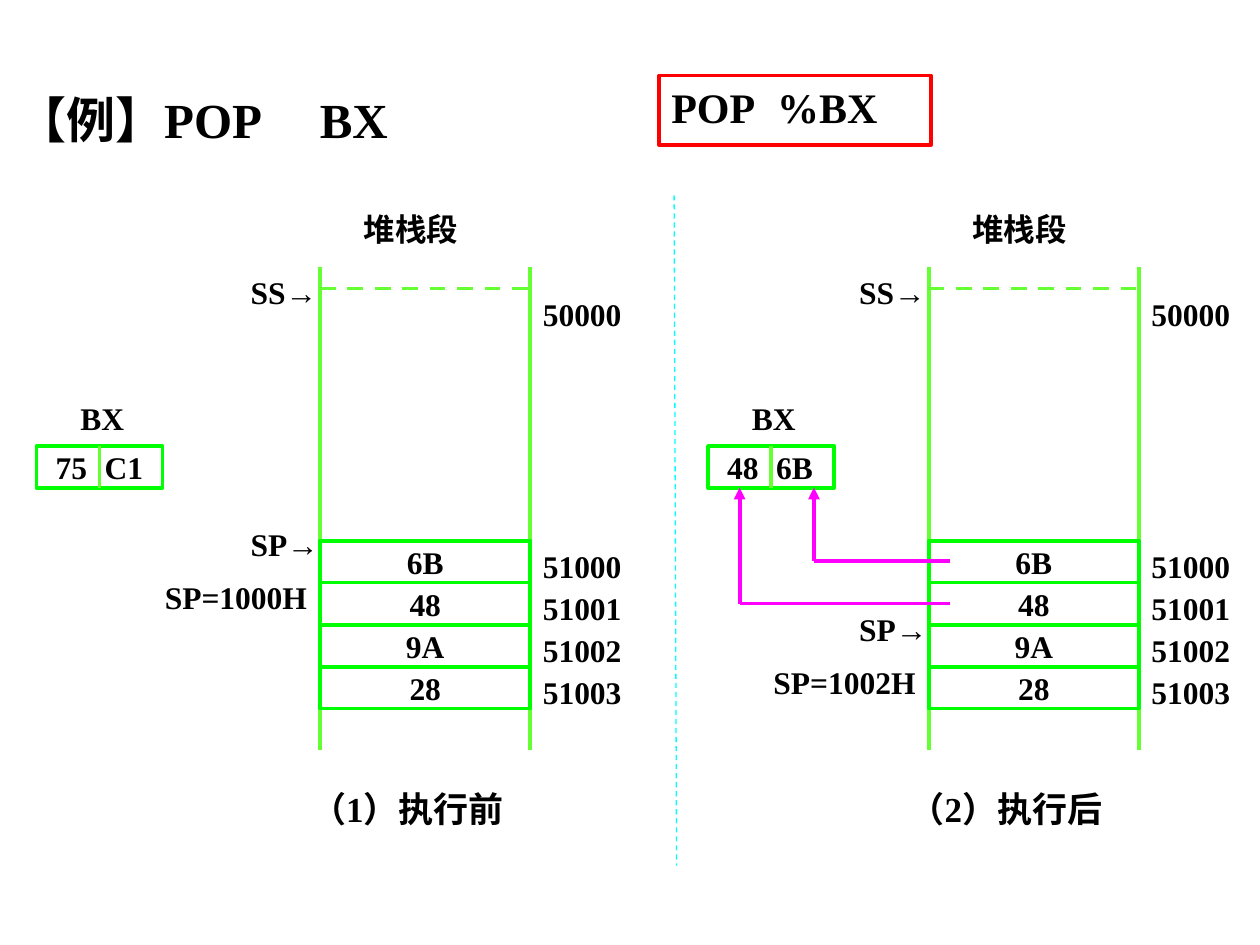
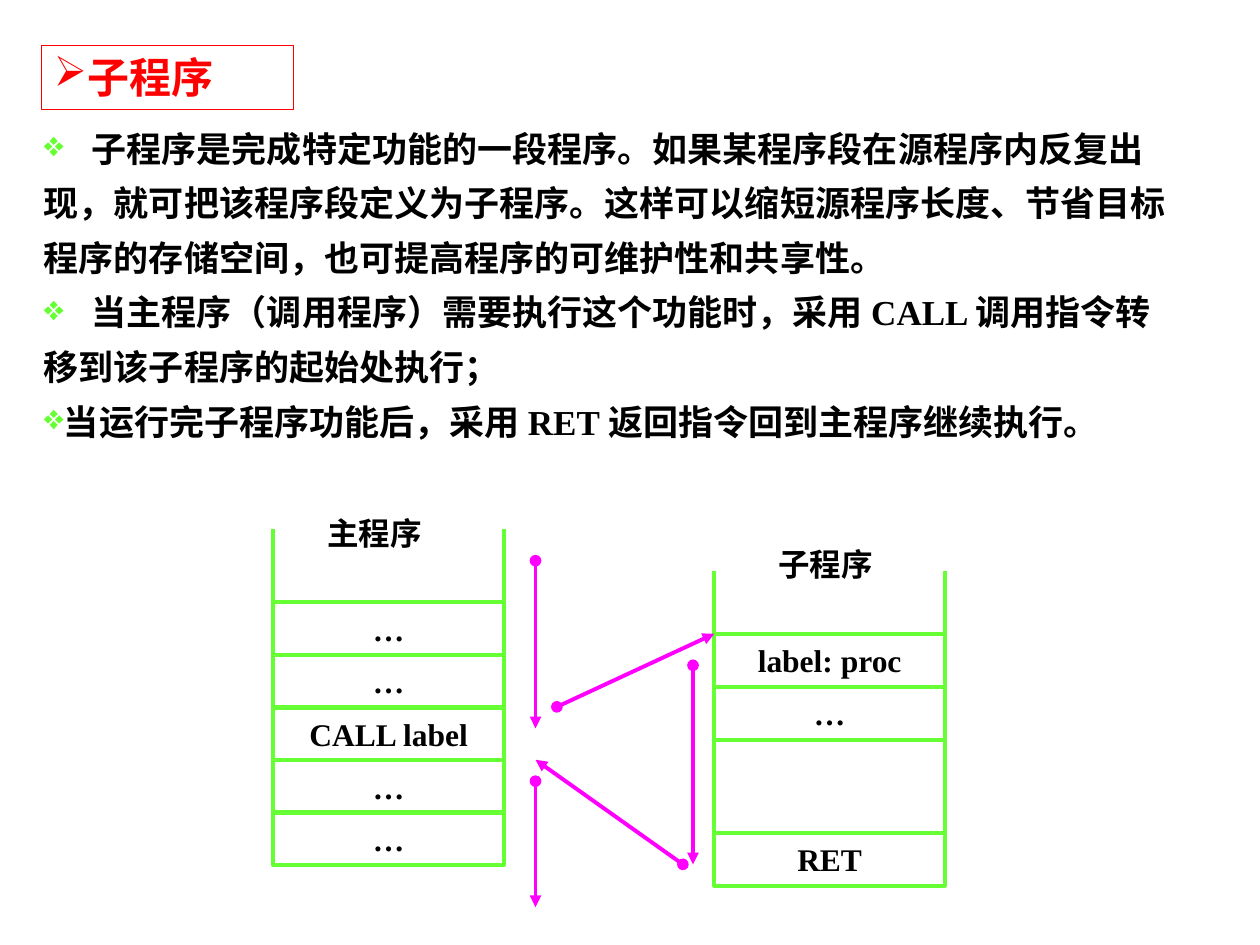
from dataclasses import dataclass
from lxml import etree
from pptx import Presentation
from pptx.dml.color import RGBColor as Rgb
from pptx.enum.dml import MSO_LINE as Dash
from pptx.enum.shapes import MSO_CONNECTOR as Conn, MSO_SHAPE as Kind
from pptx.enum.text import MSO_ANCHOR as Anchor, PP_ALIGN as Align
from pptx.oxml.ns import qn
from pptx.util import Inches, Pt


@dataclass(frozen=True)
class Theme:
    ink: str = "000000"
    red: str = "FF0000"
    green: str = "00FF00"
    lime: str = "66FF33"
    cyan: str = "00FFFF"
    pink: str = "FF00FF"
    serif: str = "Times New Roman"
    sans: str = "Noto Sans CJK SC"
    title: int = 28
    head: int = 24
    body: int = 20
    label: int = 18
    thick: float = 2.25
    thin: float = 0.75


theme = Theme()


def put(slide, x, y, w, h, words, size=theme.label, edge=None, thick=theme.thick,
        align=Align.LEFT, mid=False, color=theme.ink, font=theme.serif,
        space=None, mark=None, tab=None):
    """Place bold text, one paragraph a line, framed if edge is given."""
    area = [Inches(v) for v in (x, y, w, h)]
    if edge:
        shape = slide.shapes.add_shape(Kind.RECTANGLE, *area)
        shape.shadow.inherit = False
        shape.fill.background()
        shape.line.color.rgb = Rgb.from_string(edge)
        shape.line.width = Pt(thick)
    else:
        shape = slide.shapes.add_textbox(*area)
    frame = shape.text_frame
    frame.word_wrap = True
    frame.vertical_anchor = Anchor.MIDDLE if mid else Anchor.TOP
    if mid:
        frame.margin_top = frame.margin_bottom = 0
    frame.text = words
    for para in frame.paragraphs:
        para.alignment = align
        para.font.name, para.font.size, para.font.bold = font, Pt(size), True
        para.font.color.rgb = Rgb.from_string(color)
        if space:
            para.line_spacing = space
        props = para._p.get_or_add_pPr()
        extra = []
        if mark:
            char, tint = mark
            tone = etree.Element(qn("a:buClr"))
            etree.SubElement(tone, qn("a:srgbClr"), val=tint)
            extra += [tone, etree.Element(qn("a:buChar"), char=char)]
        if tab:
            tabs = etree.Element(qn("a:tabLst"))
            etree.SubElement(tabs, qn("a:tab"), pos=str(Inches(tab)), algn="l")
            extra.append(tabs)
        rest = props.find(qn("a:defRPr"))
        for node in extra:
            if rest is None:
                props.append(node)
            else:
                rest.addprevious(node)
    return frame


def rule(slide, x1, y1, x2, y2, color=theme.lime, thick=theme.thick,
         dash=False, head=None, tail=None):
    line = slide.shapes.add_connector(Conn.STRAIGHT, *[Inches(v) for v in (x1, y1, x2, y2)])
    line.line.color.rgb = Rgb.from_string(color)
    line.line.width = Pt(thick)
    if dash:
        line.line.dash_style = Dash.DASH
    pen = line.line._get_or_add_ln()
    for end, tip in (("a:headEnd", head), ("a:tailEnd", tail)):
        if tip:
            etree.SubElement(pen, qn(end), type=tip)
    etree.SubElement(line._element.spPr, qn("a:effectLst"))


deck = Presentation()
deck.slide_width, deck.slide_height = Inches(10), Inches(7.5)
blank = deck.slide_layouts[6]

# Slide 1: the stack before and after POP
pop = deck.slides.add_slide(blank)
put(pop, 0.04, 0.52, 3.94, 0.71, "【例】POP\tBX", theme.title, space=1.3, tab=2.4)
rule(pop, 5.35, 1.55, 5.37, 6.87, theme.cyan, theme.thin, dash=True)

wide, row, top = 1.67, 1 / 3, 4.29
states = [
    # stack left, register left, register bytes, pointer top, pointer, caption left, caption
    (2.54, 0.29, ("75", "C1"), 4.12, "SP=1000H", 2.37, "（1）执行前"),
    (7.37, 5.62, ("48", "6B"), 4.79, "SP=1002H", 7.12, "（2）执行后"),
]
for left, reg, pair, level, value, start, caption in states:
    right = left + wide
    put(pop, start, 6.2, 1.75, 0.43, caption, theme.body)
    put(pop, left + 0.25, 1.62, 1, 0.4, "堆栈段")
    for side in (left, right):
        rule(pop, side, 2.12, side, 5.95)
    rule(pop, left, 2.29, right, 2.29, dash=True)
    put(pop, right, 2.29, 1, 0.4, "50000")
    for i, byte in enumerate(["6B", "48", "9A", "28"]):
        y = top + i * row
        put(pop, left, y, wide, row, byte, edge=theme.green, align=Align.CENTER, mid=True)
        put(pop, right, y, 1, 0.4, str(51000 + i))
    for y, name in ((2.12, "SS→"), (level, "SP→")):
        put(pop, left - 0.65, y, 0.9, 0.4, name)
    put(pop, left - 1.33, level + 0.42, 1.5, 0.4, value)

    put(pop, reg + 0.25, 3.12, 0.67, 0.4, "BX")
    for i, (byte, align) in enumerate(zip(pair, (Align.RIGHT, Align.LEFT))):
        half = put(pop, reg + i * 0.5, 3.54, 0.5, row, byte, edge=theme.green,
                   align=align, mid=True)
        half.margin_left = Inches(0.04)
    rule(pop, reg + 0.5, 3.54, reg + 0.5, 3.87)

for x, y in ((6.46, 4.45), (5.87, 4.79)):
    rule(pop, 7.54, y, x, y, theme.pink)
    rule(pop, x, y, x, 3.87, theme.pink, tail="triangle")
put(pop, 5.23, 0.6, 2.16, 0.55, "POP\t%BX", theme.head, edge=theme.red, thick=2, tab=0.84)

# Slide 2: calling a subroutine
call = deck.slides.add_slide(blank)
put(call, 0.33, 0.36, 2, 0.51, "子程序", theme.head, edge=theme.red, thick=theme.thin,
    color=theme.red, font=theme.sans, mark=("➢", theme.red))
points = [
    "\t子程序是完成特定功能的一段程序。如果某程序段在源程序内反复出现，就可把该程序段定义为子程序。"
    "这样可以缩短源程序长度、节省目标程序的存储空间，也可提高程序的可维护性和共享性。",
    "\t当主程序（调用程序）需要执行这个功能时，采用 CALL 调用指令转移到该子程序的起始处执行；",
    "当运行完子程序功能后，采用 RET 返回指令回到主程序继续执行。",
]
put(call, 0.25, 0.86, 9.17, 2.7, "\n".join(points), theme.body, space=1.3,
    mark=("❖", theme.lime), tab=0.38)

wide, row = 1.83, 0.42
blocks = [
    # left, side top, side bottom, title left, title top, title, cells
    (2.17, 4.2, 6.86, 2.5, 4.03, "主程序",
     [(4.78 + i * 0.417, word) for i, word in enumerate(["…", "…", "CALL label", "…", "…"])]),
    (5.67, 4.53, 7.03, 6.08, 4.28, "子程序",
     [(5.03, "label: proc"), (5.45, "…"), (6.61, "RET")]),
]
for left, high, low, x, y, title, cells in blocks:
    for side in (left, left + wide):
        rule(call, side, high, side, low)
    put(call, x, y, 1.33, 0.4, title)
    for y, word in cells:
        put(call, left, y, wide, row, word, edge=theme.lime, align=Align.CENTER, mid=True)

flow = [
    (4.25, 4.45, 4.25, 5.78),
    (4.42, 5.61, 5.67, 5.03),
    (5.5, 5.28, 5.5, 6.86),
    (5.42, 6.86, 4.25, 6.03),
    (4.25, 6.2, 4.25, 7.2),
]
for step in flow:
    rule(call, *step, theme.pink, head="oval", tail="triangle")

deck.save("out.pptx")
